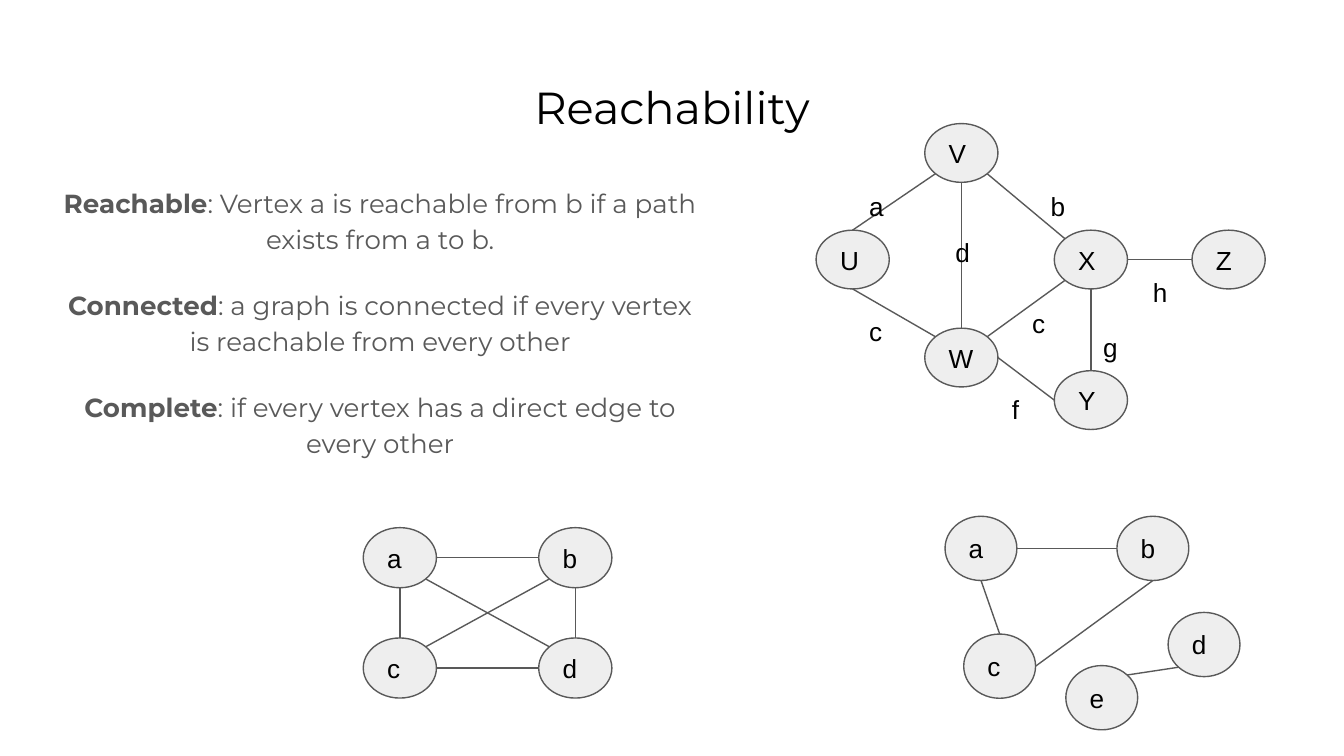
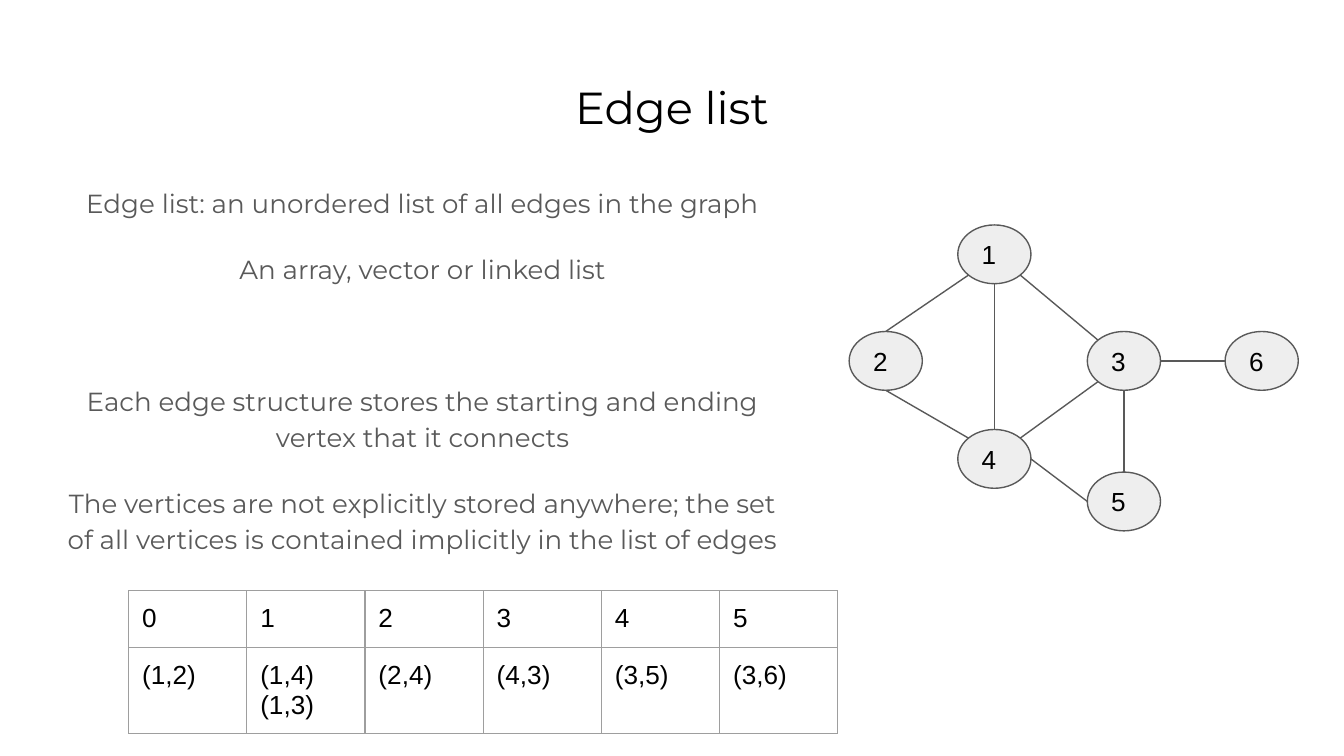
from dataclasses import dataclass
from math import cos, radians, sin

from lxml.etree import SubElement
from pptx import Presentation
from pptx.dml.color import RGBColor
from pptx.enum.shapes import MSO_CONNECTOR as Connector, MSO_SHAPE as Shape
from pptx.enum.text import MSO_ANCHOR as Anchor, MSO_AUTO_SIZE as AutoSize, PP_ALIGN as Align
from pptx.oxml.ns import qn
from pptx.util import Pt


@dataclass(frozen=True)
class Theme:
    black: RGBColor = RGBColor.from_string("000000")
    gray: RGBColor = RGBColor.from_string("595959")
    node_fill: RGBColor = RGBColor.from_string("EEEEEE")
    border: str = "9E9E9E"
    heading_font: str = "Montserrat"
    label_font: str = "Arial"
    title_size: Pt = Pt(24)
    text_size: Pt = Pt(14)
    line_width: Pt = Pt(0.75)
    inset: Pt = Pt(7.2)


theme = Theme()


def set_frame(frame, anchor=Anchor.TOP, text=None):
    frame.word_wrap = True
    frame.auto_size = AutoSize.NONE
    frame.vertical_anchor = anchor
    frame.margin_left = frame.margin_right = theme.inset
    frame.margin_top = frame.margin_bottom = theme.inset
    if text is not None:
        para = frame.paragraphs[0]
        para.text = text
        para.alignment = Align.LEFT
        para.font.name = theme.label_font
        para.font.size = theme.text_size
        para.font.color.rgb = theme.black


def draw_graph(shapes, nodes, edges, width, height, shift=(0, 0)):
    centers = {}
    for name, (left, top) in nodes.items():
        left, top = left + shift[0], top + shift[1]
        node = shapes.add_shape(Shape.OVAL, Pt(left), Pt(top), Pt(width), Pt(height))
        node.shadow.inherit = False
        node.fill.solid()
        node.fill.fore_color.rgb = theme.node_fill
        node.line.color.rgb = theme.gray
        node.line.width = theme.line_width
        set_frame(node.text_frame, Anchor.MIDDLE, name)
        centers[name] = left + width / 2, top + height / 2
    for start, start_angle, end, end_angle in edges:
        points = []
        for name, angle in ((start, start_angle), (end, end_angle)):
            x, y = centers[name]
            points.append(Pt(x + width / 2 * cos(radians(angle))))
            points.append(Pt(y - height / 2 * sin(radians(angle))))
        edge = shapes.add_connector(Connector.STRAIGHT, *points)
        edge.line.color.rgb = theme.gray
        edge.line.width = theme.line_width
        SubElement(edge._element.spPr, qn("a:effectLst"))


deck = Presentation()
deck.slide_width, deck.slide_height = Pt(720), Pt(405)

pages = [
    ("Reachability", 358.5, 175.7, [
        ("Reachable", ": Vertex a is reachable from b if a path exists from a to b.", 0),
        ("Connected", ": a graph is connected if every vertex is reachable from every other", 16),
        ("Complete", ": if every vertex has a direct edge to every other", 16),
    ]),
    ("Edge list", 404, 278, [
        ("", "Edge list: an unordered list of all edges in the graph", 0),
        ("", "An array, vector or linked list", 16),
        ("", "Each edge structure stores the starting and ending vertex that it connects", 51.3),
        ("", "The vertices are not explicitly stored anywhere; the set of all vertices "
             "is contained implicitly in the list of edges", 16),
    ]),
]

slides = []
for heading, body_width, body_height, paragraphs in pages:
    page = deck.slides.add_slide(deck.slide_layouts[1])
    slides.append(page)

    title = page.shapes.title
    title.left, title.top, title.width, title.height = Pt(24.5), Pt(35.3), Pt(671), Pt(45.4)
    set_frame(title.text_frame)
    para = title.text_frame.paragraphs[0]
    para.text = heading
    para.alignment = Align.CENTER
    para.font.name = theme.heading_font
    para.font.size = theme.title_size
    para.font.color.rgb = theme.black

    body = page.placeholders[1]
    body.left, body.top, body.width, body.height = Pt(24.5), Pt(90.7), Pt(body_width), Pt(body_height)
    set_frame(body.text_frame)
    for index, (term, wording, space_before) in enumerate(paragraphs):
        para = body.text_frame.add_paragraph() if index else body.text_frame.paragraphs[0]
        para.alignment = Align.CENTER
        para.line_spacing = 1.15
        para.space_before = Pt(space_before)
        para.space_after = Pt(16 if index == len(paragraphs) - 1 else 0)
        para.font.name = theme.heading_font
        para.font.size = theme.text_size
        para.font.color.rgb = theme.gray
        properties = para._p.get_or_add_pPr()
        properties.set("marL", "0")
        properties.set("indent", "0")
        bullet = SubElement(properties, qn("a:buNone"))
        properties.find(qn("a:defRPr")).addprevious(bullet)
        if term:
            span = para.add_run()
            span.text = term
            span.font.bold = True
        para.add_run().text = wording

reachability, edge_list = slides

spots = [(495.4, 66.2), (437.2, 123.3), (564.8, 123.3), (495.4, 175.8), (564.8, 198.6), (638.6, 123.3)]
links = [
    (1, 270, 3, 135), (3, 45, 2, 225), (2, 270, 4, 90), (4, 180, 3, 0),
    (0, 270, 3, 90), (1, 90, 0, 225), (0, 315, 2, 135), (2, 0, 5, 180),
]
for page, names, shift in ((reachability, "VUXWYZ", (0, 0)), (edge_list, "123456", (17.7, 54.3))):
    group = page.shapes.add_group_shape()
    edges = [(names[start], out, names[end], into) for start, out, end, into in links]
    draw_graph(group.shapes, dict(zip(names, spots)), edges, 39.2, 31.5, shift)

edge_labels = [
    ("a", 458.6, 97.2), ("b", 555.8, 97.2), ("d", 504.7, 121.7), ("c", 458.6, 164.2),
    ("c", 545.8, 159.8), ("f", 535, 206), ("h", 610.6, 143.3), ("g", 583.9, 172.8),
]
for name, left, top in edge_labels:
    box = reachability.shapes.add_textbox(Pt(left), Pt(top), Pt(19.5), Pt(10))
    set_frame(box.text_frame, text=name)

split_nodes = {"a": (506.3, 276.6), "b": (598.4, 276.6), "c": (516.3, 339.7),
               "d": (625.8, 328.1), "e": (571, 356.6)}
split_edges = [("a", 0, "b", 180), ("a", 270, "c", 90), ("c", 0, "b", 270), ("e", 45, "d", 225)]
draw_graph(reachability.shapes, split_nodes, split_edges, 38.5, 34.4)

complete_nodes = {"a": (194.6, 282.7), "b": (288.6, 282.7), "c": (194.6, 341.8), "d": (288.6, 341.8)}
complete_edges = [("a", 0, "b", 180), ("a", 270, "c", 90), ("c", 45, "b", 225),
                  ("a", 315, "d", 135), ("b", 270, "d", 90), ("c", 0, "d", 180)]
draw_graph(reachability.shapes, complete_nodes, complete_edges, 39.2, 32.2)

rows = [
    ["0", "1", "2", "3", "4", "5"],
    ["(1,2)", "(1,4) (1,3)", "(2,4)", "(4,3)", "(3,5)", "(3,6)"],
]
table = edge_list.shapes.add_table(2, 6, Pt(68.9), Pt(316.4), Pt(380), Pt(61)).table
table.first_row = table.horz_banding = False
for column in table.columns:
    column.width = Pt(63.35)
for row, values in zip(table.rows, rows):
    row.height = Pt(30.5)
    for cell, value in zip(row.cells, values):
        cell.margin_left = cell.margin_right = theme.inset
        cell.margin_top = cell.margin_bottom = theme.inset
        cell.text = value
        para = cell.text_frame.paragraphs[0]
        para.font.name = theme.label_font
        para.font.size = theme.text_size
        para.font.color.rgb = theme.black
        for side in ("lnL", "lnR", "lnT", "lnB"):
            line = SubElement(cell._tc.get_or_add_tcPr(), qn("a:" + side), w=str(theme.line_width))
            fill = SubElement(line, qn("a:solidFill"))
            SubElement(fill, qn("a:srgbClr"), val=theme.border)
        cell.fill.background()

deck.save("out.pptx")
